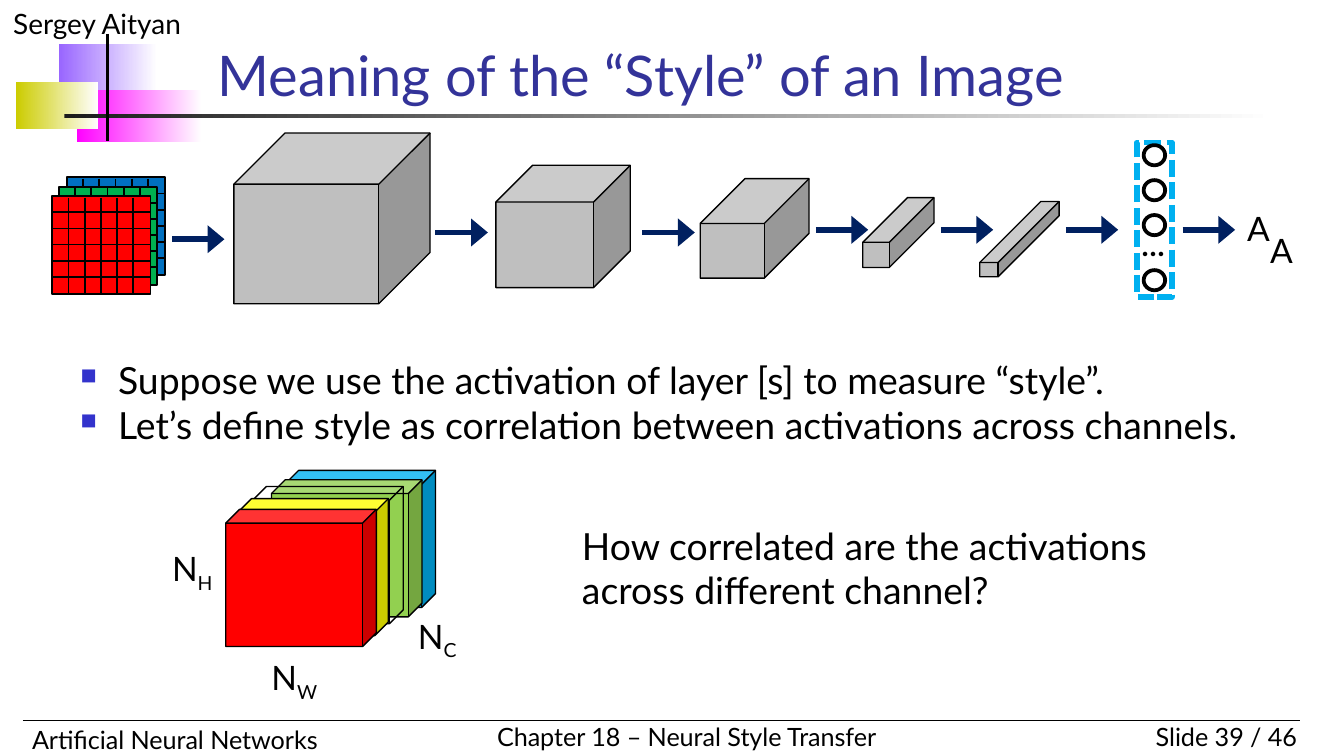
from typing import NamedTuple, Optional

from lxml import etree
from pptx import Presentation
from pptx.dml.color import RGBColor
from pptx.enum.dml import MSO_LINE
from pptx.enum.shapes import MSO_CONNECTOR, MSO_SHAPE
from pptx.enum.text import MSO_ANCHOR, PP_ALIGN
from pptx.oxml.ns import qn
from pptx.util import Inches, Pt

FONT = "Lato"
BLACK = RGBColor(0x00, 0x00, 0x00)
WHITE = RGBColor(0xFF, 0xFF, 0xFF)
CHARCOAL = RGBColor(0x1C, 0x1C, 0x1C)
INDIGO = RGBColor(0x33, 0x33, 0x99)
PURPLE = RGBColor(0x99, 0x66, 0xFF)
MAGENTA = RGBColor(0xFF, 0x00, 0xFF)
OLIVE = RGBColor(0xCC, 0xCC, 0x00)
GRAY = RGBColor(0xBF, 0xBF, 0xBF)
NAVY = RGBColor(0x00, 0x20, 0x60)
SKY = RGBColor(0x00, 0xB0, 0xF0)
BLUE = RGBColor(0x00, 0x70, 0xC0)
GREEN = RGBColor(0x00, 0xB0, 0x50)
LIME = RGBColor(0x92, 0xD0, 0x50)
YELLOW = RGBColor(0xFF, 0xFF, 0x00)
RED = RGBColor(0xFF, 0x00, 0x00)
BULLET_BLUE = RGBColor(0x33, 0x33, 0xCC)


class Area(NamedTuple):
    left: float
    top: float
    width: float
    height: float


class Cube(NamedTuple):
    area: Area
    depth: float
    fill: Optional[RGBColor] = GRAY


class Band(NamedTuple):
    area: Area
    color: RGBColor


class Sheet(NamedTuple):
    left: float
    top: float
    color: RGBColor


class Label(NamedTuple):
    area: Area
    text: str
    size: float
    color: RGBColor = BLACK
    inset: bool = True
    align: PP_ALIGN = PP_ALIGN.LEFT
    anchor: MSO_ANCHOR = MSO_ANCHOR.TOP
    bold: bool = False
    subscript: str = ""


class Arrow(NamedTuple):
    left: float
    top: float


def add_shape(page, kind: MSO_SHAPE, area: Area, fill: Optional[RGBColor],
              line: Optional[RGBColor] = BLACK, weight: float = 0.75):
    shape = page.shapes.add_shape(kind, *map(Inches, area))
    shape.shadow.inherit = False
    if fill is None:
        shape.fill.background()
    else:
        shape.fill.solid()
        shape.fill.fore_color.rgb = fill
    if line is None:
        shape.line.fill.background()
    else:
        shape.line.color.rgb = line
        shape.line.width = Pt(weight)
    return shape


def add_band(page, band: Band) -> None:
    shape = add_shape(page, MSO_SHAPE.RECTANGLE, band.area, None, None)
    shape.fill.gradient()
    shape.fill.gradient_angle = 0
    for stop, color, position in zip(shape.fill.gradient_stops, (band.color, WHITE), (0, 1)):
        stop.color.rgb = color
        stop.position = position


def add_cube(page, cube: Cube) -> None:
    shape = add_shape(page, MSO_SHAPE.CUBE, cube.area, cube.fill)
    shape.adjustments[0] = cube.depth


def add_line(page, x1: float, y1: float, x2: float, y2: float,
             color: RGBColor = BLACK, weight: float = 1, arrow: bool = False) -> None:
    line = page.shapes.add_connector(MSO_CONNECTOR.STRAIGHT, *map(Inches, (x1, y1, x2, y2)))
    line.line.color.rgb = color
    line.line.width = Pt(weight)
    if arrow:
        etree.SubElement(line.line._get_or_add_ln(), qn("a:tailEnd"), type="triangle", w="lg")
    etree.SubElement(line._element.spPr, qn("a:effectLst"))


def add_sheet(page, sheet: Sheet, side: float = 0.73, cell: float = 0.12) -> None:
    left, top = sheet.left, sheet.top
    add_shape(page, MSO_SHAPE.RECTANGLE, Area(left, top, side, side), sheet.color, weight=1)
    for index in range(1, 6):
        offset = index * cell
        add_line(page, left, top + offset, left + side, top + offset)
        add_line(page, left + offset, top + 0.01, left + offset, top + side - 0.01)


def add_label(page, label: Label):
    box = page.shapes.add_textbox(*map(Inches, label.area))
    frame = box.text_frame
    frame.word_wrap = True
    frame.vertical_anchor = label.anchor
    if not label.inset:
        frame.margin_left = frame.margin_right = frame.margin_top = frame.margin_bottom = 0
    frame.text = label.text
    if label.subscript:
        span = frame.paragraphs[0].add_run()
        span.text = label.subscript
        span._r.get_or_add_rPr().set("baseline", "-25000")
    for para in frame.paragraphs:
        para.alignment = label.align
        for span in para.runs:
            span.font.name = FONT
            span.font.size = Pt(label.size)
            span.font.color.rgb = label.color
            span.font.bold = label.bold
    return box


def add_bullet(para) -> None:
    properties = para._p.get_or_add_pPr()
    properties.set("marL", str(Inches(0.28)))
    properties.set("indent", str(-Inches(0.28)))
    color = etree.SubElement(properties, qn("a:buClr"))
    etree.SubElement(color, qn("a:srgbClr"), val=str(BULLET_BLUE))
    etree.SubElement(properties, qn("a:buSzPct"), val="60000")
    etree.SubElement(properties, qn("a:buChar"), char="■")


BANDS = [
    Band(Area(0.44, 0.33, 0.73, 0.39), PURPLE),
    Band(Area(0.57, 0.67, 0.93, 0.39), MAGENTA),
    Band(Area(0.12, 0.61, 0.61, 0.35), OLIVE),
    Band(Area(0.48, 0.85, 9, 0.03), CHARCOAL),
]
LAYERS = [
    Cube(Area(1.74, 0.99, 1.46, 1.27), 0.3),
    Cube(Area(3.69, 1.23, 1, 0.91), 0.3),
    Cube(Area(5.21, 1.33, 0.81, 0.74), 0.45),
    Cube(Area(6.42, 1.47, 0.53, 0.52), 0.64),
    Cube(Area(7.29, 1.5, 0.59, 0.56), 0.81),
]
SHEETS = [Sheet(0.5, 1.32, BLUE), Sheet(0.44, 1.39, GREEN), Sheet(0.39, 1.46, RED)]
ARROWS = [Arrow(1.28, 1.78), Arrow(3.24, 1.73), Arrow(4.78, 1.73), Arrow(6.07, 1.71),
          Arrow(7, 1.71), Arrow(7.93, 1.71), Arrow(8.8, 1.71)]
CHANNELS = [
    Cube(Area(left, top, 1.12, 1.02), 0.1, fill)
    for left, top, fill in [(2.12, 3.5, SKY), (2.02, 3.57, LIME), (1.88, 3.62, None),
                            (1.77, 3.71, YELLOW), (1.68, 3.79, RED)]
]
LABELS = [
    Label(Area(0, 0, 2.5, 0.35), "Sergey Aityan", 15),
    Label(Area(8.25, 5.32, 1.5, 0.33), "Slide 39 / 46", 13.5, align=PP_ALIGN.RIGHT),
    Label(Area(0.14, 5.34, 3.7, 0.33), "Artificial Neural Networks", 13.5),
    Label(Area(3.6, 5.32, 3.08, 0.33), "Chapter 18 – Neural Style Transfer", 13.5),
    Label(Area(1.52, 0.31, 7.35, 0.54), "Meaning of the “Style” of an Image", 30, INDIGO,
          anchor=MSO_ANCHOR.BOTTOM),
    Label(Area(8.44, 1.69, 0.28, 0.27), "…", 16, inset=False, align=PP_ALIGN.CENTER, bold=True),
    Label(Area(9.28, 1.55, 0.23, 0.3), "A", 18, inset=False),
    Label(Area(9.45, 1.71, 0.23, 0.3), "A", 18, inset=False),
    Label(Area(3.11, 4.58, 0.44, 0.3), "N", 18, inset=False, subscript="C"),
    Label(Area(1.28, 4.08, 0.48, 0.3), "N", 18, inset=False, subscript="H"),
    Label(Area(2.02, 4.89, 0.44, 0.3), "N", 18, inset=False, subscript="W"),
    Label(Area(4.33, 3.89, 4.71, 0.67),
          "How correlated are the activations across different channel?", 20, inset=False),
]
POINTS = Label(Area(0.5, 2.61, 9.02, 0.54),
               "Suppose we use the activation of layer [s] to measure “style”.\n"
               "Let’s define style as correlation between activations across channels.", 20)


def main() -> None:
    deck = Presentation()
    deck.slide_width = Inches(10)
    deck.slide_height = deck.slide_width * 9 // 16
    page = deck.slides.add_slide(deck.slide_layouts[6])

    # Header ornament and footer rule
    for band in BANDS:
        add_band(page, band)
    add_line(page, 0.17, 5.36, 9.67, 5.36, weight=0.75)
    add_line(page, 0.8, 0.25, 0.8, 1.05, weight=2)

    # Network: input sheets, layers, dense units, arrows
    for sheet in SHEETS:
        add_sheet(page, sheet)
    for cube in LAYERS + CHANNELS:
        add_cube(page, cube)
    dense = add_shape(page, MSO_SHAPE.RECTANGLE, Area(8.46, 1.06, 0.26, 1.15), None, SKY, 3)
    dense.line.dash_style = MSO_LINE.SQUARE_DOT
    for top in (1.08, 1.34, 1.6, 2.01):
        add_shape(page, MSO_SHAPE.OVAL, Area(8.51, top, 0.16, 0.15), None, weight=2)
    for arrow in ARROWS:
        add_line(page, arrow.left, arrow.top, arrow.left + 0.39, arrow.top, NAVY, 3, arrow=True)

    # Text
    for label in LABELS:
        add_label(page, label)
    for para in add_label(page, POINTS).text_frame.paragraphs:
        add_bullet(para)

    deck.save("out.pptx")


if __name__ == "__main__":
    main()
